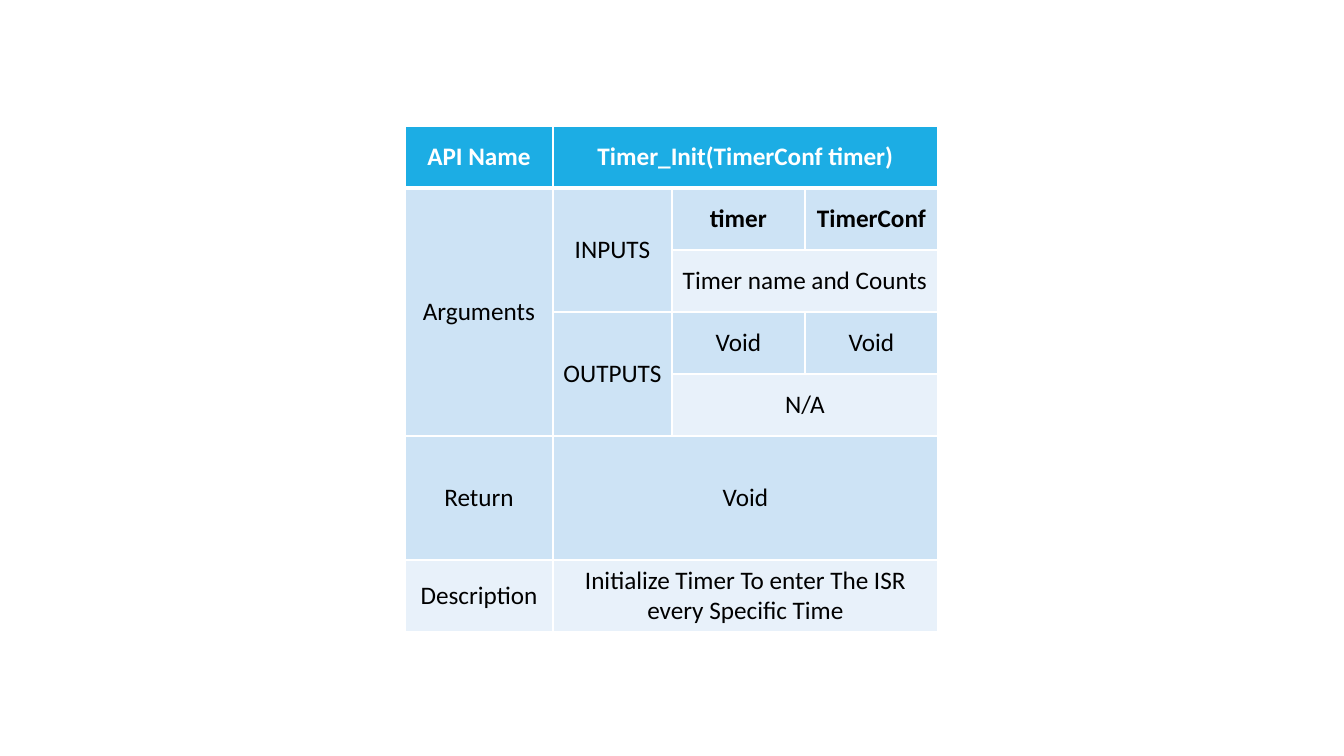
from lxml import etree
from pptx import Presentation, util as u
from pptx.dml.color import RGBColor
from pptx.enum import text
from pptx.oxml.ns import qn

PX = 914400 / 100.8  # EMU in one px
WHITE, BLACK = "FFFFFF", "000000"
HEADER, BAND, LIGHT = "1CADE4", "CDE3F5", "E8F1FA"

COLUMNS = [148, 119, 133, 133]
ROWS = [62] * 5 + [124, 71]
ROW_FILLS = [HEADER, BAND, LIGHT, BAND, LIGHT, BAND, LIGHT]

# row, column, rows spanned, columns spanned, wording
ENTRIES = [
    (0, 0, 1, 1, "API Name"),
    (0, 1, 1, 3, "Timer_Init(TimerConf timer)"),
    (1, 0, 4, 1, "Arguments"),
    (1, 1, 2, 1, "INPUTS"),
    (1, 2, 1, 1, "timer"),
    (1, 3, 1, 1, "TimerConf"),
    (2, 2, 1, 2, "Timer name and Counts"),
    (3, 1, 2, 1, "OUTPUTS"),
    (3, 2, 1, 1, "Void"),
    (3, 3, 1, 1, "Void"),
    (4, 2, 1, 2, "N/A"),
    (5, 0, 1, 1, "Return"),
    (5, 1, 1, 3, "Void"),
    (6, 0, 1, 1, "Description"),
    (6, 1, 1, 3, "Initialize Timer To enter The ISR every Specific Time"),
]
BOLD = {"API Name", "Timer_Init(TimerConf timer)", "timer", "TimerConf"}


def px(length):
    return u.Emu(round(length * PX))


def colour(value):
    return RGBColor.from_string(value)


def set_values(target, values):
    for name, value in values.items():
        setattr(target, name, value)


def add_borders(cell, widths):
    properties = cell._tc.get_or_add_tcPr()
    for side in "LRTB":
        line = etree.SubElement(properties, qn(f"a:ln{side}"),
                                w=str(u.Pt(widths.get(side, 1))))
        fill = etree.SubElement(line, qn("a:solidFill"))
        etree.SubElement(fill, qn("a:srgbClr"), val=WHITE)


def paint_cell(cell, row, fill):
    # A thick rule separates the header from the body
    add_borders(cell, {0: {"B": 3}, 1: {"T": 3}}.get(row, {}))
    cell.fill.solid()
    cell.fill.fore_color.rgb = colour(fill)


def write_cell(cell, wording, ink):
    cell.vertical_anchor = text.MSO_ANCHOR.MIDDLE
    para = cell.text_frame.paragraphs[0]
    para.alignment = text.PP_ALIGN.CENTER
    span = para.add_run()
    span.text = wording
    set_values(span.font, {"name": "Calibri", "size": u.Pt(18),
                           "bold": wording in BOLD})
    span.font.color.rgb = colour(ink)


def add_api_table(page, left, top):
    frame = page.shapes.add_table(len(ROWS), len(COLUMNS), px(left), px(top),
                                  px(sum(COLUMNS)), px(sum(ROWS)))
    table = frame.table
    set_values(table, {"first_row": False, "horz_banding": False})
    for column, width in zip(table.columns, COLUMNS):
        column.width = px(width)
    for row, height in zip(table.rows, ROWS):
        row.height = px(height)

    # Each entry covers its whole span in the fill of its first row
    for row, column, high, wide, wording in ENTRIES:
        for r in range(row, row + high):
            for c in range(column, column + wide):
                paint_cell(table.cell(r, c), r, ROW_FILLS[row])
        cell = table.cell(row, column)
        if high * wide > 1:
            cell.merge(table.cell(row + high - 1, column + wide - 1))
        write_cell(cell, wording, WHITE if row == 0 else BLACK)


def main():
    deck = Presentation()
    set_values(deck, {"slide_width": px(1344), "slide_height": px(756)})
    page = deck.slides.add_slide(deck.slide_layouts[6])
    add_api_table(page, 405, 126)
    deck.save("out.pptx")


if __name__ == "__main__":
    main()
